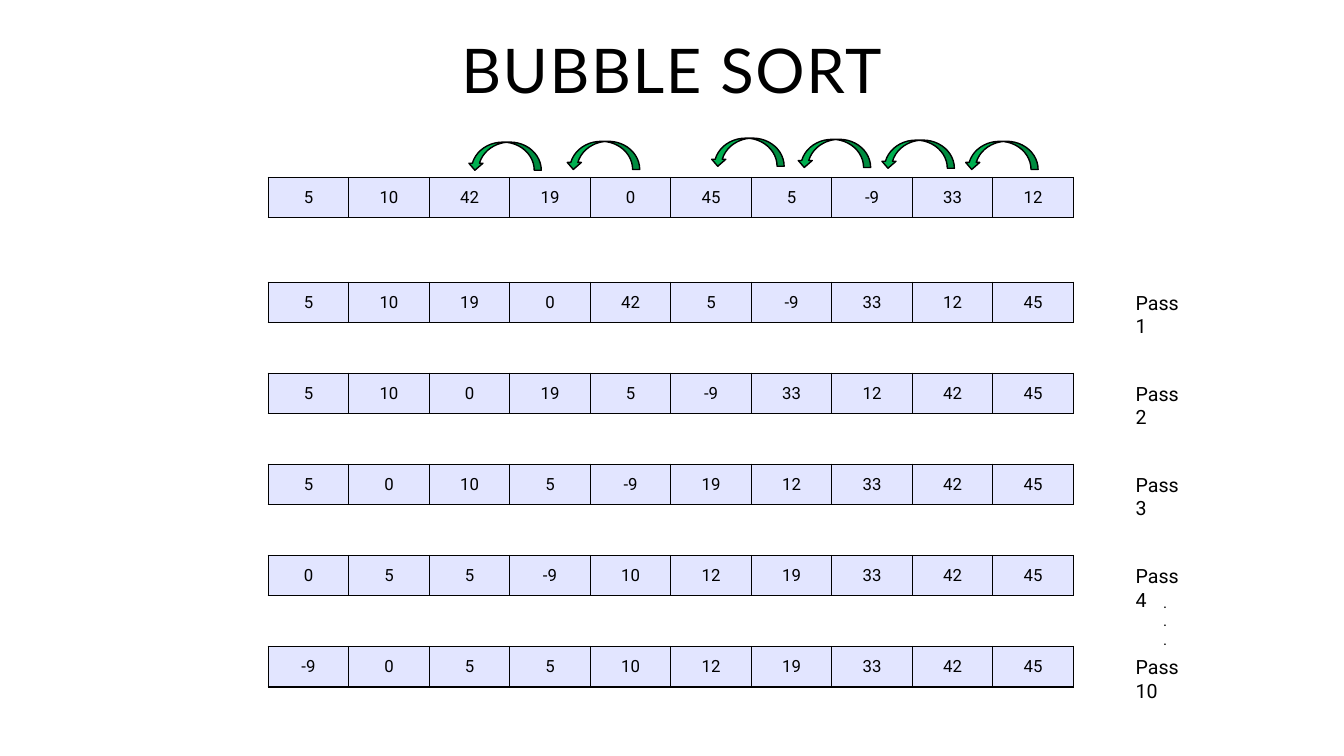
from lxml import etree
from pptx import Presentation
from pptx.dml.color import RGBColor
from pptx.enum.shapes import MSO_SHAPE
from pptx.enum.text import MSO_ANCHOR, MSO_AUTO_SIZE, PP_ALIGN
from pptx.oxml.ns import qn
from pptx.util import Cm, Pt

BLACK = RGBColor(0x00, 0x00, 0x00)
LAVENDER = RGBColor(0xE2, 0xE5, 0xFF)
GREEN = RGBColor(0x00, 0xB0, 0x50)

TITLE = "BUBBLE SORT"
START = [5, 10, 42, 19, 0, 45, 5, -9, 33, 12]
PASSES = [
    ("Pass 1", [5, 10, 19, 0, 42, 5, -9, 33, 12, 45]),
    ("Pass 2", [5, 10, 0, 19, 5, -9, 33, 12, 42, 45]),
    ("Pass 3", [5, 0, 10, 5, -9, 19, 12, 33, 42, 45]),
    ("Pass 4", [0, 5, 5, -9, 10, 12, 19, 33, 42, 45]),
    ("Pass 10", [-9, 0, 5, 5, 10, 12, 19, 33, 42, 45]),
]
DOTS = ".\n.\n."
SWAP_ARROWS = [
    (11.79, 3.58), (14.27, 3.56), (17.91, 3.48),
    (20.09, 3.51), (22.2, 3.53), (24.31, 3.56),
]

ROW_LEFT, CELL_W, CELL_H = 6.76, 2.03, 1.02
START_TOP, PASS_TOP, PASS_STEP = 4.47, 7.11, 2.295
LABEL_LEFT, LABEL_DROP = 28.37, 0.09


def set_font(p, name, size):
    for r in p.runs:
        r.font.name = name
        r.font.size = Pt(size)
        r.font.color.rgb = BLACK


def add_borders(cell):
    tcPr = cell._tc.get_or_add_tcPr()
    for i, side in enumerate(("lnL", "lnR", "lnT", "lnB")):
        ln = etree.Element(qn(f"a:{side}"), w=str(Pt(1)))
        fill = etree.SubElement(ln, qn("a:solidFill"))
        etree.SubElement(fill, qn("a:srgbClr"), val=str(BLACK))
        tcPr.insert(i, ln)


def add_array(s, values, top):
    frame = s.shapes.add_table(1, len(values), Cm(ROW_LEFT), Cm(top),
                               Cm(CELL_W * len(values)), Cm(CELL_H))
    table = frame.table
    table.first_row = table.horz_banding = False
    for cell, value in zip(table.rows[0].cells, values):
        cell.text = str(value)
        cell.vertical_anchor = MSO_ANCHOR.MIDDLE
        cell.fill.solid()
        cell.fill.fore_color.rgb = LAVENDER
        p = cell.text_frame.paragraphs[0]
        p.alignment = PP_ALIGN.CENTER
        set_font(p, "Roboto", 12)
        add_borders(cell)


def add_label(s, text, left, top, width, height, size):
    tf = s.shapes.add_textbox(Cm(left), Cm(top), Cm(width), Cm(height)).text_frame
    tf.word_wrap = True
    tf.text = text
    for p in tf.paragraphs:
        set_font(p, "Roboto", size)


def add_swap_arrow(s, left, top):
    sp = s.shapes.add_shape(MSO_SHAPE.CURVED_UP_ARROW, Cm(left), Cm(top),
                            Cm(1.85), Cm(0.71))
    sp.rotation = 180
    sp.shadow.inherit = False
    sp.fill.solid()
    sp.fill.fore_color.rgb = GREEN
    sp.line.color.rgb = BLACK
    sp.line.width = Pt(1)


def add_title(s):
    sp = s.shapes.title
    sp.left, sp.top, sp.width, sp.height = Cm(2.67), Cm(0.89), Cm(28.52), Cm(2.67)
    tf = sp.text_frame
    tf.text = TITLE
    tf.auto_size = MSO_AUTO_SIZE.NONE
    tf.vertical_anchor = MSO_ANCHOR.TOP
    p = tf.paragraphs[0]
    p.alignment = PP_ALIGN.CENTER
    p.line_spacing = 0.9
    set_font(p, "Lato", 44)
    p.runs[0].font._element.set("spc", "120")


def main():
    prs = Presentation()
    prs.slide_width, prs.slide_height = Cm(33.87), Cm(19.05)
    s = prs.slides.add_slide(prs.slide_layouts[5])
    add_title(s)
    add_array(s, START, START_TOP)
    for left, top in SWAP_ARROWS:
        add_swap_arrow(s, left, top)
    for i, (label, values) in enumerate(PASSES):
        top = PASS_TOP + i * PASS_STEP
        add_array(s, values, top)
        add_label(s, label, LABEL_LEFT, top + LABEL_DROP, 1.96, 0.86, 14)
    add_label(s, DOTS, 29.06, 14.81, 0.61, 1.68, 11)
    prs.save("out.pptx")


if __name__ == "__main__":
    main()
